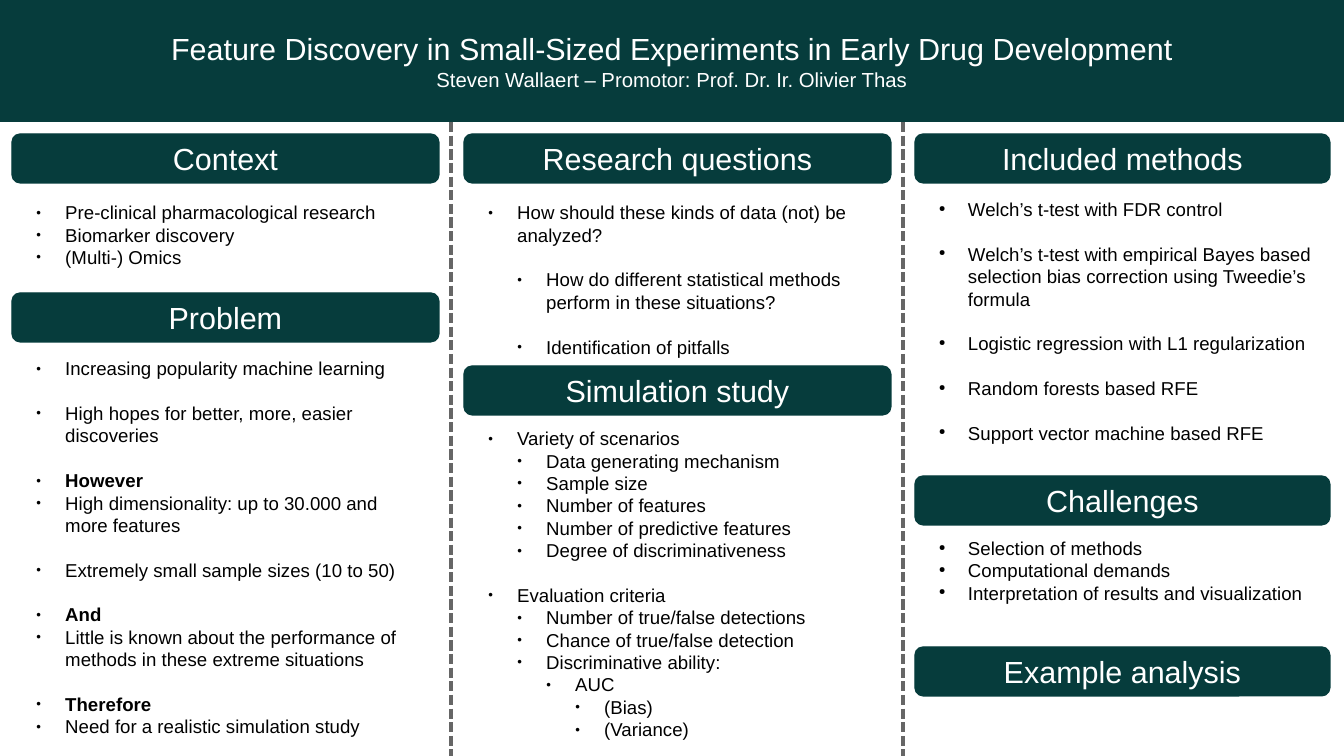
import dataclasses

import lxml.etree
import pptx
import pptx.dml.color
import pptx.enum.dml
import pptx.enum.shapes
import pptx.enum.text
import pptx.oxml.ns
import pptx.util

PX_PER_INCH = 122
SLIDE_WIDTH, SLIDE_HEIGHT = 1344, 756
BANNER_HEIGHT = 122
HEADING_HEIGHT = 49
INDENT = 29


@dataclasses.dataclass(frozen=True)
class Theme:
    dark: str = "063C3C"
    light: str = "FFFFFF"
    text: str = "000000"
    divider: str = "666666"
    font: str = "Arial"
    heading_size: float = 18
    author_size: float = 12
    body_size: float = 11
    body_line: float = 13.2


@dataclasses.dataclass(frozen=True)
class Item:
    text: str
    level: int = 0
    bold: bool = False
    gap: bool = False  # one free line after the item


THEME = Theme()

TITLE = "Feature Discovery in Small-Sized Experiments in Early Drug Development"
AUTHORS = "Steven Wallaert – Promotor: Prof. Dr. Ir. Olivier Thas"

# Column: left edge and heading width
COLUMNS = [(12, 427), (464, 427), (915, 415)]
DIVIDERS = [451, 903]

# Section: column, heading top, heading, list top, list width, list height, items
SECTIONS = [
    (0, 134, "Context", 195, 403, 75, [
        Item("Pre-clinical pharmacological research"),
        Item("Biomarker discovery"),
        Item("(Multi-) Omics"),
    ]),
    (0, 293, "Problem", 351, 403, 365, [
        Item("Increasing popularity machine learning", gap=True),
        Item("High hopes for better, more, easier discoveries", gap=True),
        Item("However", bold=True),
        Item("High dimensionality: up to 30.000 and more features", gap=True),
        Item("Extremely small sample sizes (10 to 50)", gap=True),
        Item("And", bold=True),
        Item("Little is known about the performance of methods in these extreme situations",
             gap=True),
        Item("Therefore", bold=True),
        Item("Need for a realistic simulation study"),
    ]),
    (1, 134, "Research questions", 195, 403, 157, [
        Item("How should these kinds of data (not) be analyzed?", gap=True),
        Item("How do different statistical methods perform in these situations?", 1, gap=True),
        Item("Identification of pitfalls", 1),
    ]),
    (1, 366, "Simulation study", 421, 390, 323, [
        Item("Variety of scenarios"),
        Item("Data generating mechanism", 1),
        Item("Sample size", 1),
        Item("Number of features", 1),
        Item("Number of predictive features", 1),
        Item("Degree of discriminativeness", 1, gap=True),
        Item("Evaluation criteria"),
        Item("Number of true/false detections", 1),
        Item("Chance of true/false detection", 1),
        Item("Discriminative ability:", 1),
        Item("AUC", 2),
        Item("(Bias)", 3),
        Item("(Variance)", 3),
    ]),
    (2, 134, "Included methods", 192, 403, 261, [
        Item("Welch’s t-test with FDR control", gap=True),
        Item("Welch’s t-test with empirical Bayes based selection bias correction "
             "using Tweedie’s formula", gap=True),
        Item("Logistic regression with L1 regularization", gap=True),
        Item("Random forests based RFE", gap=True),
        Item("Support vector machine based RFE"),
    ]),
    (2, 476, "Challenges", 531, 390, 95, [
        Item("Selection of methods"),
        Item("Computational demands"),
        Item("Interpretation of results and visualization"),
    ]),
    (2, 647, "Example analysis", 0, 0, 0, []),
]


def px(value):
    return pptx.util.Emu(round(value * 914400 / PX_PER_INCH))


def color(value):
    return pptx.dml.color.RGBColor.from_string(value)


def style_font(font, size, font_color, bold=False):
    font.name = THEME.font
    font.size = pptx.util.Pt(size)
    font.color.rgb = color(font_color)
    font.bold = bold


def paint_dark(shape):
    shape.fill.solid()
    shape.fill.fore_color.rgb = color(THEME.dark)
    shape.line.color.rgb = color(THEME.dark)
    shape.line.width = pptx.util.Pt(0)
    shape.shadow.inherit = False


def place(shape, left, top, width, height):
    shape.left, shape.top, shape.width, shape.height = map(px, (left, top, width, height))


def write_centered(shape, lines):
    frame = shape.text_frame
    frame.auto_size = pptx.enum.text.MSO_AUTO_SIZE.NONE
    frame.word_wrap = False
    frame.vertical_anchor = pptx.enum.text.MSO_ANCHOR.MIDDLE
    for index, (text, size) in enumerate(lines):
        paragraph = frame.add_paragraph() if index else frame.paragraphs[0]
        paragraph.text = text
        paragraph.alignment = pptx.enum.text.PP_ALIGN.CENTER
        paragraph.space_before = pptx.util.Pt(0)
        style_font(paragraph.font, size, THEME.light)


def add_banner(slide):
    banner = slide.shapes.title
    place(banner, 0, 0, SLIDE_WIDTH, BANNER_HEIGHT)
    paint_dark(banner)
    write_centered(banner, [(TITLE, THEME.heading_size), (AUTHORS, THEME.author_size)])


def add_divider(slide, left):
    divider = slide.shapes.add_connector(
        pptx.enum.shapes.MSO_CONNECTOR.STRAIGHT,
        px(left), px(BANNER_HEIGHT), px(left), px(SLIDE_HEIGHT))
    divider.line.color.rgb = color(THEME.divider)
    divider.line.width = pptx.util.Pt(0)
    divider.line.dash_style = pptx.enum.dml.MSO_LINE.SQUARE_DOT
    lxml.etree.SubElement(divider.element.spPr, pptx.oxml.ns.qn("a:effectLst"))


def add_heading(slide, left, top, width, text):
    heading = slide.shapes.add_shape(
        pptx.enum.shapes.MSO_SHAPE.ROUNDED_RECTANGLE,
        px(left), px(top), px(width), px(HEADING_HEIGHT))
    paint_dark(heading)
    write_centered(heading, [(text, THEME.heading_size)])


def add_bullet(paragraph, level):
    qn = pptx.oxml.ns.qn
    properties = paragraph._p.get_or_add_pPr()
    properties.set("marL", str(px(INDENT * (level + 1))))
    properties.set("indent", str(-px(INDENT)))
    bullet_color = lxml.etree.SubElement(properties, qn("a:buClr"))
    lxml.etree.SubElement(bullet_color, qn("a:srgbClr"), val=THEME.text)
    lxml.etree.SubElement(properties, qn("a:buSzPct"), val="45000")
    lxml.etree.SubElement(properties, qn("a:buChar"), char="●")


def fill_list(shape, items):
    frame = shape.text_frame
    frame.auto_size = pptx.enum.text.MSO_AUTO_SIZE.NONE
    frame.word_wrap = True
    frame.vertical_anchor = pptx.enum.text.MSO_ANCHOR.TOP
    for index, item in enumerate(items):
        paragraph = frame.add_paragraph() if index else frame.paragraphs[0]
        paragraph.text = item.text
        paragraph.level = item.level
        add_bullet(paragraph, item.level)
        paragraph.line_spacing = pptx.util.Pt(THEME.body_line)
        paragraph.space_before = pptx.util.Pt(0)
        paragraph.space_after = pptx.util.Pt(THEME.body_line if item.gap else 0)
        style_font(paragraph.font, THEME.body_size, THEME.text, item.bold)


def main():
    presentation = pptx.Presentation()
    presentation.slide_width = px(SLIDE_WIDTH)
    presentation.slide_height = px(SLIDE_HEIGHT)
    slide = presentation.slides.add_slide(presentation.slide_layouts.get_by_name("Comparison"))
    bodies = [shape for shape in slide.placeholders if shape.placeholder_format.idx]

    # Banner and column dividers
    add_banner(slide)
    for left in DIVIDERS:
        add_divider(slide, left)

    # Sections: the layout's body placeholders first, then text boxes
    for column, top, heading, list_top, list_width, list_height, items in SECTIONS:
        left, width = COLUMNS[column]
        add_heading(slide, left, top, width, heading)
        if items:
            body = bodies.pop(0) if bodies else slide.shapes.add_textbox(0, 0, 0, 0)
            place(body, left + 12, list_top, list_width, list_height)
            fill_list(body, items)

    presentation.save("out.pptx")


if __name__ == "__main__":
    main()
